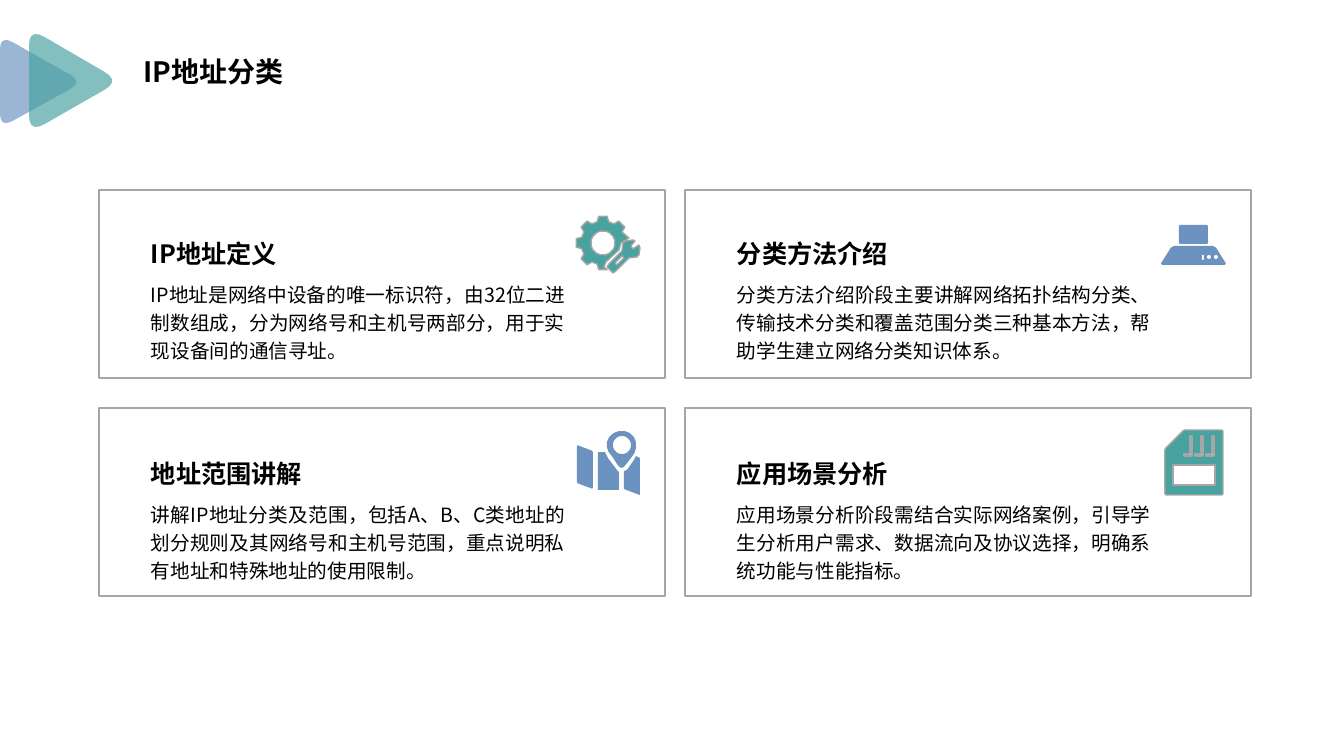
"""Build the slide on IP address classification, with four cards and their icons."""
from itertools import product
from math import cos, pi, radians, sin

from lxml.etree import SubElement
from pptx import Presentation
from pptx.dml.color import RGBColor
from pptx.enum.shapes import MSO_SHAPE
from pptx.enum.text import MSO_ANCHOR, MSO_AUTO_SIZE, PP_ALIGN
from pptx.oxml.ns import qn
from pptx.util import Pt

PX = 914400 / 100.8
FONT = "Noto Sans CJK SC"
COLORS = {"black": "000000", "blue": "6C92C0", "teal": "48A2A0", "grey": "A6A6A6"}


def write(box, text, size=14, bold=False, align=PP_ALIGN.JUSTIFY, spacing=1.2,
          wrap=True, anchor=MSO_ANCHOR.TOP):
    frame = box.text_frame
    frame.word_wrap = wrap
    frame.auto_size = MSO_AUTO_SIZE.NONE
    frame.vertical_anchor = anchor
    paragraph = frame.paragraphs[0]
    paragraph.alignment = align
    paragraph.line_spacing = spacing
    run = paragraph.add_run()
    run.text = text
    run.font.size = Pt(size)
    run.font.bold = bold
    run.font.name = FONT
    run.font.color.rgb = RGBColor.from_string(COLORS["black"])
    SubElement(run._r.get_or_add_rPr(), qn("a:ea"), typeface=FONT)


def draw(contours, color, edge=None, alpha=100):
    """Draw (rounding, corners) contours; a single corner is a circle's centre."""
    builder = None
    for rounding, corners in contours:
        if len(corners) == 1:
            (cx, cy), reach = corners[0], rounding / cos(pi / 8)
            corners = [(cx + reach * cos(k * pi / 4), cy + reach * sin(k * pi / 4))
                       for k in range(8)]
            rounding = rounding if rounding > 2 else 0
        steps = 5 if rounding >= 15 else 1
        points = []
        for i, (x, y) in enumerate(corners):
            ends = []
            for nx, ny in (corners[i - 1], corners[(i + 1) % len(corners)]):
                length = ((nx - x) ** 2 + (ny - y) ** 2) ** 0.5
                share = min(rounding / length, 0.3 if steps == 1 else 0.5)
                ends.append((x + (nx - x) * share, y + (ny - y) * share))
            (ax, ay), (bx, by) = ends
            for t in [step / steps for step in range(steps + 1)] if rounding else [0]:
                p, q, r = (1 - t) ** 2, 2 * t * (1 - t), t ** 2
                points.append(((p * ax + q * x + r * bx) * PX, (p * ay + q * y + r * by) * PX))
        if builder is None:
            builder = slide.shapes.build_freeform(*points[0], scale=1.0)
        else:
            builder.move_to(*points[0])
        builder.add_line_segments(points[1:], close=True)
    shape = builder.convert_to_shape()
    shape.shadow.inherit = False
    shape.fill.solid()
    shape.fill.fore_color.rgb = RGBColor.from_string(COLORS[color])
    if alpha < 100:
        tint = shape.fill._xPr.find(qn("a:solidFill"))[0]
        SubElement(tint, qn("a:alpha"), val=str(alpha * 1000))
    if edge:
        shape.line.color.rgb = RGBColor.from_string(COLORS[edge])
        shape.line.width = Pt(1)
    else:
        shape.line.fill.background()


teeth = [(603 + reach * cos(radians(45 * k + turn)), 243 + reach * sin(radians(45 * k + turn)))
         for k in range(2, 8) for reach, turn in ((22, -15), (27, -9), (27, 9), (22, 15))]
gear_cut = [(629, 238), (621, 243), (619, 250), (606, 262), (604, 267)]
wrench = [(623, 243), (626, 241), (633, 240), (635, 241), (631, 246), (633, 249), (639, 245),
          (640, 248), (639, 255), (637, 257), (629, 258), (616, 271), (613, 273), (607, 267),
          (609, 264), (622, 251)]
gear_icon = [(0, teeth[1:] + gear_cut), (12, [(603, 243)]), (0, wrench),
             (0, [(622, 256), (624, 258), (617, 265), (615, 263)])]

projector_icon = [
    (1, [(1179, 225), (1208, 225), (1208, 244), (1179, 244)]),
    (2, [(1172, 246), (1215, 246), (1227, 265), (1160, 265)]),
    (0, [(1202, 255), (1204, 255), (1204, 260), (1202, 260)]),
    (2, [(1209, 257)]), (2, [(1216, 257)])]

map_icon = [
    (1, [(577, 445), (593, 451), (593, 489), (577, 483)]),
    (0, [(598, 452), (605, 452), (608, 458), (617, 470), (619, 472), (619, 490), (598, 490)]),
    (0, [(636, 456), (640, 458), (640, 495), (624, 489), (624, 471), (627, 470), (634, 460)]),
    (3, [(616, 431), (628, 431), (636, 439), (636, 451), (631, 458), (624, 467), (622, 468),
         (619, 467), (612, 456), (607, 450), (607, 439)]),
    (9, [(622, 445)])]

card_pins = [(0, [(x, 436), (x + 2, 436), (x + 2, 456), (x - 6, 456), (x - 6, 454), (x, 454)])
             for x in range(1190, 1213, 11)]
memory_icon = [(1, [(1184, 430), (1223, 430), (1223, 495), (1165, 495), (1165, 449)]),
               *card_pins, (0, [(1173, 465), (1215, 465), (1215, 485), (1173, 485)])]

topics = [
    ("IP地址定义", "IP地址是网络中设备的唯一标识符，由32位二进制数组成，分为网络号和主机号两部分，"
     "用于实现设备间的通信寻址。", gear_icon, "teal", "grey"),
    ("地址范围讲解", "讲解IP地址分类及范围，包括A、B、C类地址的划分规则及其网络号和主机号范围，"
     "重点说明私有地址和特殊地址的使用限制。", map_icon, "blue", None),
    ("分类方法介绍", "分类方法介绍阶段主要讲解网络拓扑结构分类、传输技术分类和覆盖范围分类"
     "三种基本方法，帮助学生建立网络分类知识体系。", projector_icon, "blue", None),
    ("应用场景分析", "应用场景分析阶段需结合实际网络案例，引导学生分析用户需求、数据流向及协议选择，"
     "明确系统功能与性能指标。", memory_icon, "teal", "grey"),
]

deck = Presentation()
deck.slide_width, deck.slide_height = round(1344 * PX), round(756 * PX)
slide = deck.slides.add_slide(deck.slide_layouts[5])

headline = slide.shapes.title
headline.left, headline.top, headline.width, headline.height = [
    round(n * PX) for n in (133, 49, 171, 44)]
write(headline, "IP地址分类", size=20, bold=True, align=PP_ALIGN.LEFT, spacing=1.0,
      wrap=False, anchor=MSO_ANCHOR.MIDDLE)

draw([(15, [(0, 35), (83, 82), (0, 128)])], "blue", alpha=68)
draw([(18, [(29, 28), (120, 81), (29, 133)])], "teal", alpha=68)

for (column, row), (heading, detail, icon, color, edge) in zip(product(range(2), range(2)), topics):
    left = 99 + 586 * column
    card = slide.shapes.add_shape(MSO_SHAPE.RECTANGLE, *[
        round(n * PX) for n in (left, 190 + 218 * row, 566, 188)])
    card.shadow.inherit = False
    card.fill.background()
    card.line.color.rgb = RGBColor.from_string(COLORS["grey"])
    card.line.width = Pt(1)
    draw(icon, color, edge=edge)
    for text, top, width, height, look in (
            (detail, 273, 434, 94, {}),
            (heading, 227, 226, 46, {"size": 18, "bold": True})):
        box = slide.shapes.add_textbox(*[
            round(n * PX) for n in (left + 42, top + 220 * row, width, height)])
        write(box, text, **look)

deck.save("out.pptx")
